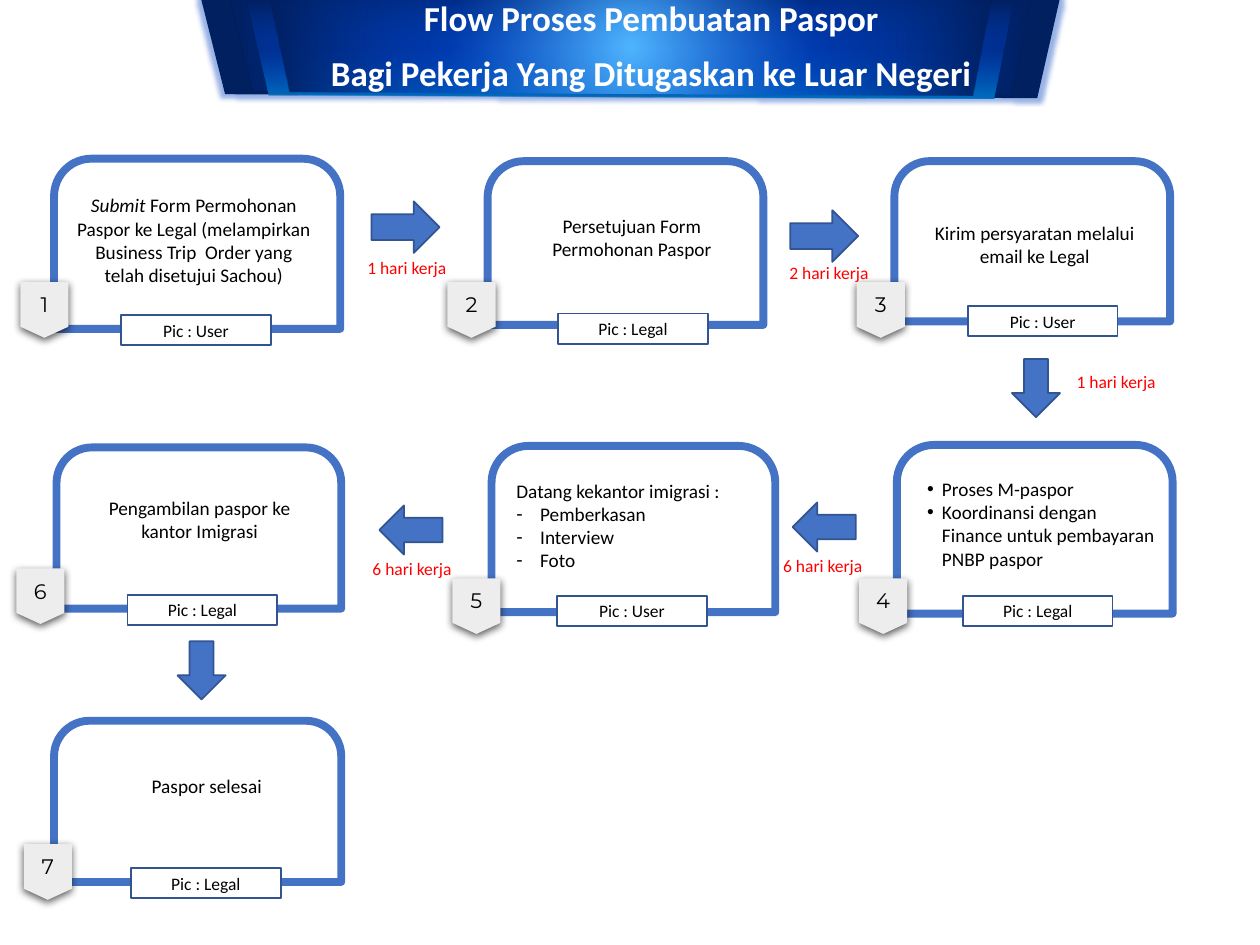
from dataclasses import dataclass

from lxml import etree
from pptx import Presentation
from pptx import util as u
from pptx.dml.color import RGBColor
from pptx.enum import shapes, text
from pptx.oxml import ns

WHITE = RGBColor(0xFF, 0xFF, 0xFF)
BLACK = RGBColor(0x00, 0x00, 0x00)
RED = RGBColor(0xFF, 0x00, 0x00)
NAVY = RGBColor(0x00, 0x20, 0x60)
ROYAL = RGBColor(0x00, 0x40, 0xBF)
SKY = RGBColor(0x50, 0xB6, 0xFF)
OCEAN = RGBColor(0x00, 0x70, 0xC0)
BLUE = RGBColor(0x44, 0x72, 0xC4)
BLUE_EDGE = RGBColor(0x32, 0x54, 0x91)
GREY = RGBColor(0xED, 0xED, 0xED)

KIND = shapes.MSO_SHAPE
CENTER = text.PP_ALIGN.CENTER
LEFT = text.PP_ALIGN.LEFT
BADGE_SIZE = (0.97, 1.12)
PIC_SIZE = (3.02, 0.61)


@dataclass
class Step:
    box: tuple          # left, top, width, height on the page, in cm
    badge: tuple        # left, top within the card
    pic: tuple          # left, top within the card
    body: tuple         # left, top, width, height within the card
    owner: str
    lines: tuple        # (bullet, wording)
    lead: str = ""      # italic opening word
    align: object = CENTER


STEPS = [
    Step((1.09, 3.2, 5.77, 3.43), (-0.68, 2.49), (1.35, 3.15), (0.18, 0.58, 5.28, 2.13), "User",
         (("", " Form Permohonan Paspor ke Legal (melampirkan Business Trip  Order "
               "yang telah disetujui Sachou)"),), lead="Submit"),
    Step((9.83, 3.25, 5.56, 3.3), (-0.81, 2.44), (1.42, 3.07), (0.46, 0.94, 4.9, 1.19), "Legal",
         (("", "Persetujuan Form Permohonan Paspor"),)),
    Step((18.03, 3.25, 5.56, 3.23), (-0.76, 2.44), (1.48, 2.92), (0.39, 1.09, 4.88, 1.19), "User",
         (("", "Kirim persyaratan melalui email ke Legal"),)),
    Step((18.08, 8.97, 5.56, 3.4), (-0.76, 2.69), (1.33, 3.04), (0.36, 0.53, 5.13, 2.1), "Legal",
         (("•", "Proses M-paspor"),
          ("•", "Koordinansi dengan Finance untuk pembayaran PNBP paspor")), align=LEFT),
    Step((9.91, 8.99, 5.72, 3.35), (-0.79, 2.67), (1.32, 3.02), (0.25, 0.54, 4.98, 2.13), "User",
         (("", "Datang kekantor imigrasi :"), ("-", "Pemberkasan"),
          ("-", "Interview"), ("-", "Foto")), align=LEFT),
    Step((1.14, 9.02, 5.74, 3.25), (-0.81, 2.44), (1.43, 2.97), (0.51, 0.86, 4.75, 1.19), "Legal",
         (("", "Pengambilan paspor ke kantor Imigrasi"),)),
    Step((1.09, 14.53, 5.79, 3.25), (-0.61, 2.49), (1.55, 2.97), (1.3, 0.96, 3.56, 0.74), "Legal",
         (("", "Paspor selesai"),)),
]

# Arrow kind, arrow box, duration, label box relative to the arrow
MOVES = [
    (KIND.RIGHT_ARROW, (7.49, 4.06, 1.37, 1.04), "1 hari kerja", (-0.38, 1.02, 2.18, 0.61)),
    (KIND.RIGHT_ARROW, (15.93, 4.24, 1.37, 1.04), "2 hari kerja", (-0.31, 0.94, 2.18, 0.61)),
    (KIND.DOWN_ARROW, (20.4, 7.24, 0.97, 1.17), "1 hari kerja", (1.01, 0.15, 2.18, 0.61)),
    (KIND.LEFT_ARROW, (15.98, 10.13, 1.27, 0.99), "6 hari kerja", (-0.64, 0.97, 2.49, 0.61)),
    (KIND.LEFT_ARROW, (7.65, 10.19, 1.27, 0.99), "6 hari kerja", (-0.59, 0.96, 2.49, 0.61)),
    (KIND.DOWN_ARROW, (3.58, 12.93, 0.97, 1.17), "", None),
]


def within(box, part):
    """Turn a place relative to a box into a place on the page."""
    return (box[0] + part[0], box[1] + part[1], *part[2:])


def add_xml(parent, markup):
    parent.append(etree.fromstring(f'<a:wrap {ns.nsdecls("a")}>{markup}</a:wrap>')[0])


def style_font(font, size, color, name="Calibri"):
    font.name, font.size = name, u.Pt(size)
    font.color.rgb = color


def write_centered(shape, wording, size, color, name="Calibri"):
    frame = shape.text_frame
    frame.word_wrap = True
    frame.vertical_anchor = text.MSO_ANCHOR.MIDDLE
    frame.margin_left = frame.margin_right = frame.margin_top = frame.margin_bottom = 0
    frame.text = wording
    para = frame.paragraphs[0]
    para.alignment = CENTER
    style_font(para.runs[0].font, size, color, name)


def add_figure(page, kind, box, fill, edge=None, width=1):
    shape = page.shapes.add_shape(kind, *map(u.Cm, box))
    shape.shadow.inherit = False
    shape.fill.solid()
    shape.fill.fore_color.rgb = fill
    if edge is None:
        shape.line.fill.background()
    else:
        shape.line.color.rgb = edge
        shape.line.width = u.Pt(width)
    return shape


def add_label(page, box):
    label = page.shapes.add_textbox(*map(u.Cm, box))
    label.text_frame.word_wrap = True
    return label


def add_band(page, points, inner=None, direction=""):
    """Draw one banner layer: plain navy, or a gradient from an inner colour to navy."""
    corners = [(u.Cm(x), u.Cm(y)) for x, y in points]
    builder = page.shapes.build_freeform(*corners[0])
    builder.add_line_segments(corners[1:], close=True)
    band = builder.convert_to_shape()
    band.shadow.inherit = False
    band.line.fill.background()
    band.fill.solid()
    band.fill.fore_color.rgb = NAVY
    if inner is not None:
        solid = band.element.spPr.find(ns.qn("a:solidFill"))
        add_xml(band.element.spPr, f'<a:gradFill rotWithShape="1"><a:gsLst>'
                f'<a:gs pos="0"><a:srgbClr val="{inner}"/></a:gs>'
                f'<a:gs pos="50000"><a:srgbClr val="{ROYAL}"><a:alpha val="43000"/></a:srgbClr></a:gs>'
                f'<a:gs pos="100000"><a:srgbClr val="{NAVY}"/></a:gs></a:gsLst>{direction}</a:gradFill>')
        solid.getparent().replace(solid, band.element.spPr[-1])
    return band


def add_banner(page, box):
    left, top, width, height = box
    radial = ('<a:path path="circle"><a:fillToRect l="50000" t="50000" r="50000" b="50000"/></a:path>')
    upward = '<a:lin ang="16200000" scaled="0"/>'

    def trapezoid(rise, inset, low_right, low_left, drop):
        return [(left + inset, top + rise), (left + width - inset, top + rise),
                (left + width - low_right, top + drop), (left + low_left, top + drop - 0.08)]

    # Layers from the outside in
    base = add_band(page, trapezoid(0, 0, 0.45, 0.48, height))
    add_xml(base.element.spPr.find(ns.qn("a:effectLst")),
            f'<a:glow rad="63500"><a:srgbClr val="{ROYAL}"><a:alpha val="40000"/></a:srgbClr></a:glow>')
    add_band(page, trapezoid(-0.08, 0.56, 0.99, 1.04, height - 0.08), SKY, radial)
    add_band(page, trapezoid(0, 0.92, 1.32, 1.37, height), OCEAN, upward)
    add_band(page, trapezoid(-0.05, 1.37, 1.75, 1.78, height - 0.05), SKY, radial)

    # Title in front of the layers
    title = page.shapes.title
    title.element.getparent().append(title.element)
    title.left, title.top, title.width, title.height = map(
        u.Cm, within(box, (2.34, -0.1, 13.46, 1.37)))
    frame = title.text_frame
    frame.text = "Flow Proses Pembuatan Paspor\nBagi Pekerja Yang Ditugaskan ke Luar Negeri"
    frame.word_wrap = True
    frame.auto_size = text.MSO_AUTO_SIZE.NONE
    frame.vertical_anchor = text.MSO_ANCHOR.TOP
    frame.margin_left = frame.margin_right = u.Cm(0.1)
    for index, para in enumerate(frame.paragraphs):
        para.alignment = CENTER
        para.line_spacing = 0.9
        para.space_before = u.Pt(10 if index else 0)
        style_font(para.runs[0].font, 20, WHITE)
        para.runs[0].font.bold = True


def add_step(page, number, step):
    card = add_figure(page, KIND.ROUND_2_SAME_RECTANGLE, step.box, WHITE, BLUE, 4.5)
    card.adjustments[0] = 0.22

    # Description
    frame = add_label(page, within(step.box, step.body)).text_frame
    for index, (bullet, wording) in enumerate(step.lines):
        para = frame.paragraphs[0] if index == 0 else frame.add_paragraph()
        para.text = step.lead
        para.add_run().text = wording
        para.alignment = step.align
        if bullet:
            indent = u.Cm(0.3 if bullet == "•" else 0.48)
            props = para._p.get_or_add_pPr()
            props.set("marL", str(indent))
            props.set("indent", str(-indent))
            add_xml(props, '<a:buFont typeface="Arial"/>')
            add_xml(props, f'<a:buChar char="{bullet}"/>')
        for span in para.runs:
            style_font(span.font, 11, BLACK)
        if step.lead:
            para.runs[0].font.italic = True

    # Number badge
    badge = add_figure(page, KIND.FLOWCHART_OFFPAGE_CONNECTOR,
                       within(step.box, step.badge + BADGE_SIZE), GREY)
    add_xml(badge.element.spPr.find(ns.qn("a:effectLst")),
            '<a:outerShdw blurRad="57150" dist="19050" dir="5400000" algn="ctr" rotWithShape="0">'
            f'<a:srgbClr val="{BLACK}"><a:alpha val="63000"/></a:srgbClr></a:outerShdw>')
    write_centered(badge, str(number), 12, BLACK, "Montserrat")

    # Person in charge
    pic = add_figure(page, KIND.RECTANGLE, within(step.box, step.pic + PIC_SIZE), WHITE, BLUE_EDGE)
    write_centered(pic, f"Pic : {step.owner}", 10, BLACK)


def add_move(page, kind, box, duration, label_box):
    add_figure(page, kind, box, BLUE, BLUE_EDGE)
    if duration:
        write_centered(add_label(page, within(box, label_box)), duration, 10, RED)


def main():
    deck = Presentation()
    deck.slide_width, deck.slide_height = u.Cm(25.4), u.Cm(19.05)
    page = deck.slides.add_slide(deck.slide_layouts[5])
    add_banner(page, (4.06, 0, 17.3, 1.98))
    for number, step in enumerate(STEPS, 1):
        add_step(page, number, step)
    for move in MOVES:
        add_move(page, *move)
    deck.save("out.pptx")


if __name__ == "__main__":
    main()
